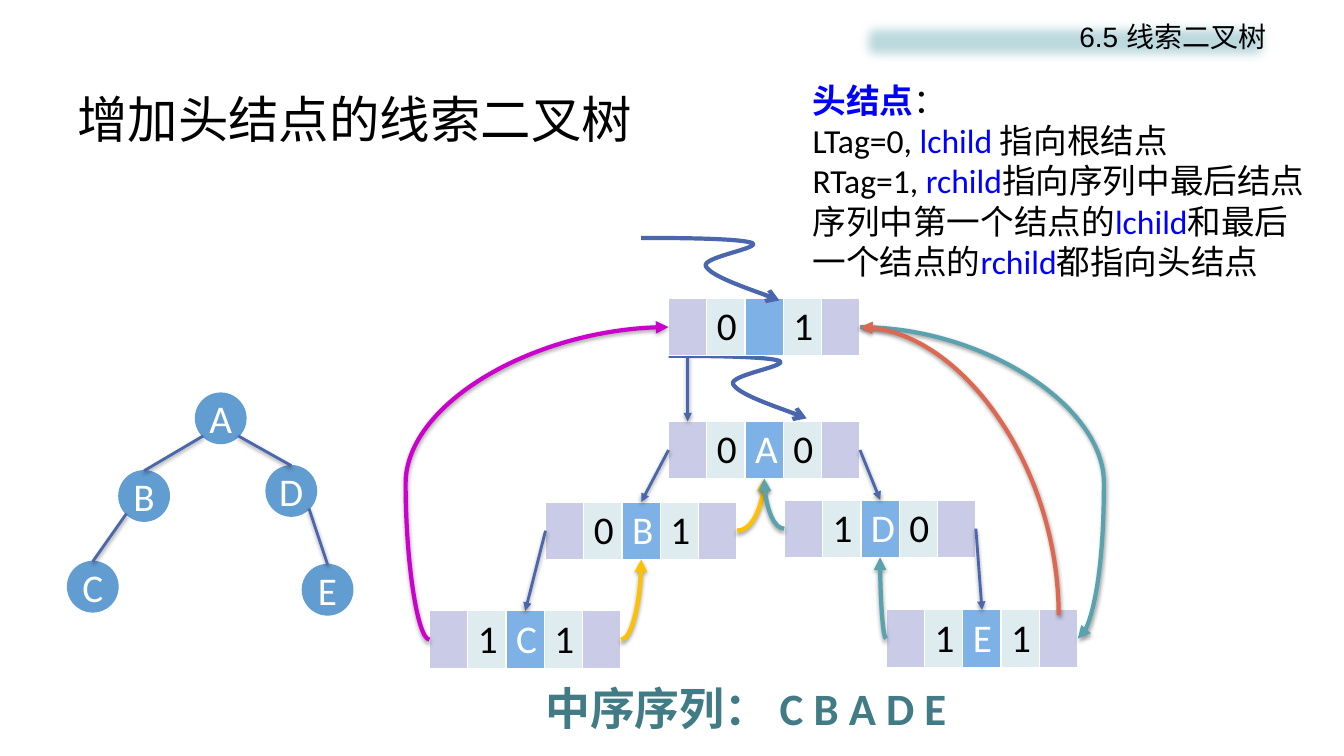
from collections import namedtuple
from dataclasses import dataclass
from lxml.etree import SubElement
from pptx import Presentation
from pptx.dml.color import RGBColor
from pptx.enum.shapes import MSO_CONNECTOR as Link, MSO_SHAPE as Preset
from pptx.enum.text import MSO_ANCHOR as Anchor, PP_ALIGN as Align
from pptx.oxml.ns import qn
from pptx.util import Inches, Pt

WIDTH, HEIGHT = Inches(13.33), Inches(7.5)
RECORD_WIDTH, RECORD_HEIGHT = 14.25, 7.6
NODE_WIDTH, NODE_HEIGHT = 3.75, 6.67
SQUIGGLE = [(3.75, 0), (7.43, 0.13), (8.25, 0.67), (9, 1.33), (4.5, 2.53),
            (4.8, 3.73), (5.18, 5.07), (9.38, 7.6), (10.28, 8.27)]


@dataclass(frozen=True)
class Theme:
    latin: str = "Calibri"
    header_font: str = "Arial"
    chinese: str = "Noto Sans CJK SC"
    black: str = "000000"
    white: str = "FFFFFF"
    keyword: str = "0000FF"
    caption: str = "417B85"
    header: str = "BDDADF"
    pointer: str = "C9CBE7"
    tag: str = "DEECEF"
    data: str = "7EB2E6"
    node: str = "629DD1"
    child: str = "4A66AC"
    successor: str = "FFC000"
    predecessor: str = "5AA2AE"
    first: str = "CC00CC"
    last: str = "DD6851"
    title_size: int = 36
    caption_size: int = 32
    node_size: int = 28
    note_size: int = 24
    header_size: int = 20


THEME = Theme()


class Record(namedtuple("Record", "x y values")):
    @property
    def left(self):
        return self.x, self.y + RECORD_HEIGHT / 2

    @property
    def right(self):
        return self.x + RECORD_WIDTH, self.y + RECORD_HEIGHT / 2

    @property
    def top(self):
        return self.x + RECORD_WIDTH / 2, self.y

    @property
    def bottom(self):
        return self.x + RECORD_WIDTH / 2, self.y + RECORD_HEIGHT


def place(x, y):
    return int(WIDTH * x / 100), int(HEIGHT * y / 100)


def color(value):
    return RGBColor.from_string(value)


def style(span, size, fill, font=THEME.latin, bold=False):
    span.font.size, span.font.bold, span.font.name = Pt(size), bold, font
    span.font.color.rgb = color(fill)
    SubElement(span.font._element, qn("a:ea"), typeface=THEME.chinese)


def write(frame, text, size, fill, align=Align.LEFT, **options):
    frame.text = text
    para = frame.paragraphs[0]
    para.alignment = align
    style(para.runs[0], size, fill, **options)


def add_box(page, x, y, width, height):
    box = page.shapes.add_textbox(*place(x, y), *place(width, height))
    box.text_frame.word_wrap = True
    return box.text_frame


def add_note(page, lines):
    frame = add_box(page, 59.72, 9.87, 39, 28.27)
    for index, line in enumerate(lines):
        para = frame.add_paragraph() if index else frame.paragraphs[0]
        for text, fill in line:
            span = para.add_run()
            span.text = text
            style(span, THEME.note_size, fill, bold=text == "头结点")


def add_header(page, text):
    box = page.shapes.add_shape(Preset.RECTANGLE, *place(63.47, 1.87), *place(31.5, 7.2))
    box.fill.solid()
    box.fill.fore_color.rgb = color(THEME.header)
    box.line.fill.background()
    effects = SubElement(box._element.spPr, qn("a:effectLst"))
    SubElement(effects, qn("a:softEdge"), rad=str(Pt(9)))
    box.text_frame.vertical_anchor = Anchor.TOP
    write(box.text_frame, text, THEME.header_size, THEME.black, Align.RIGHT,
          font=THEME.header_font)


def border(cell):
    for index, side in enumerate(("a:lnL", "a:lnR", "a:lnT", "a:lnB")):
        properties = cell._tc.get_or_add_tcPr()
        line = SubElement(properties, qn(side), w=str(Pt(1)))
        SubElement(SubElement(line, qn("a:solidFill")), qn("a:srgbClr"), val=THEME.white)
        properties.insert(index, line)


def add_record(page, record):
    fills = (THEME.pointer, THEME.tag, THEME.data, THEME.tag, THEME.pointer)
    table = page.shapes.add_table(1, len(fills), *place(record.x, record.y),
                                  *place(RECORD_WIDTH, RECORD_HEIGHT)).table
    table.first_row = table.horz_banding = False
    for cell, fill, value in zip(table.iter_cells(), fills, ("", *record.values, "")):
        cell.fill.solid()
        cell.fill.fore_color.rgb = color(fill)
        cell.vertical_anchor = Anchor.MIDDLE
        border(cell)
        if value:
            ink = THEME.white if fill == THEME.data else THEME.black
            write(cell.text_frame, value, THEME.node_size, ink, Align.CENTER)


def add_link(page, start, end, fill=THEME.child, width=2, kind=Link.STRAIGHT, arrow="tailEnd"):
    link = page.shapes.add_connector(kind, *place(*start), *place(*end))
    link.line.color.rgb, link.line.width = color(fill), Pt(width)
    if arrow:
        SubElement(link.line._get_or_add_ln(), qn("a:" + arrow), type="triangle")
    effects = SubElement(link._element.spPr, qn("a:effectLst"))
    shadow = SubElement(effects, qn("a:outerShdw"), blurRad=str(Pt(3.1)), dist=str(Pt(1.6)),
                        dir="5400000", rotWithShape="0")
    ink = SubElement(shadow, qn("a:srgbClr"), val=THEME.black)
    SubElement(ink, qn("a:alpha"), val="38000")
    return link


def add_curve(page, start, end, fill, bend=None, arrow="tailEnd"):
    link = add_link(page, start, end, fill, 3, Link.CURVE, arrow)
    geometry = link._element.spPr.find(qn("a:prstGeom"))
    if bend is None:
        geometry.set("prst", "curvedConnector2")
    else:
        guides = geometry.find(qn("a:avLst"))
        SubElement(guides, qn("a:gd"), name="adj1", fmla=f"val {round(bend * 100000)}")


def add_squiggle(page, x, y):
    builder = page.shapes.build_freeform(*place(x, y))
    builder.add_line_segments([place(x + dx, y + dy) for dx, dy in SQUIGGLE], close=False)
    shape = builder.convert_to_shape()
    path = shape._element.spPr.find(".//" + qn("a:path"))
    segments = path.findall(qn("a:lnTo"))
    for index, segment in enumerate(segments):
        if index % 3 == 0:
            curve = SubElement(path, qn("a:cubicBezTo"))
        curve.append(segment[0])
        path.remove(segment)
    shape.fill.background()
    shape.shadow.inherit = False
    shape.line.color.rgb, shape.line.width = color(THEME.child), Pt(3)
    SubElement(shape.line._get_or_add_ln(), qn("a:tailEnd"), type="arrow")


def add_node(page, letter, x, y):
    node = page.shapes.add_shape(Preset.OVAL, *place(x, y), *place(NODE_WIDTH, NODE_HEIGHT))
    node.shadow.inherit = False
    node.fill.solid()
    node.fill.fore_color.rgb = node.line.color.rgb = color(THEME.node)
    node.line.width = Pt(1)
    node.text_frame.word_wrap = False
    node.text_frame.vertical_anchor = Anchor.MIDDLE
    write(node.text_frame, letter, THEME.node_size, THEME.white, Align.CENTER)
    return node


def add_tree(page):
    spots = {"A": (14.55, 52), "B": (8.85, 62.27), "C": (5.03, 74.27),
             "D": (19.8, 61.6), "E": (22.5, 74.67)}
    nodes = {letter: add_node(page, letter, *spot) for letter, spot in spots.items()}
    for parent, child, side in (("A", "B", -1), ("B", "C", -1), ("D", "E", 1), ("A", "D", 1)):
        x, y = spots[parent]
        start = x + NODE_WIDTH * (0.5 + side * 0.35), y + NODE_HEIGHT * 0.85
        link = add_link(page, start, spots[child], arrow=None)
        link.end_connect(nodes[child], 0)


def add_threads(page):
    head = Record(49.74, 39.47, ("0", "", "1"))
    a = Record(49.74, 55.73, ("0", "A", "0"))
    b = Record(40.59, 66.4, ("0", "B", "1"))
    c = Record(31.96, 80.8, ("1", "C", "1"))
    d = Record(58.36, 66.13, ("1", "D", "0"))
    e = Record(65.94, 80.67, ("1", "E", "1"))
    for record in (a, b, c, d, e):
        add_record(page, record)
    for start, end in ((a.left, b.top), (a.right, d.top), (b.left, c.top), (d.right, e.top)):
        add_link(page, start, end)
    add_squiggle(page, head.x, head.bottom[1])
    add_record(page, head)
    for start, end, fill in ((b.right, a.bottom, THEME.successor),
                             (c.right, b.bottom, THEME.successor),
                             (e.left, d.bottom, THEME.predecessor),
                             (d.left, a.bottom, THEME.predecessor)):
        add_curve(page, start, end, fill)
    pointer_x = head.x + RECORD_WIDTH / 10
    add_link(page, (pointer_x, head.bottom[1]), (pointer_x, a.y))
    add_squiggle(page, 47.71, 31.47)
    add_curve(page, head.right, e.right, THEME.predecessor, 1.12)
    add_curve(page, c.left, head.left, THEME.first, -0.1)
    add_curve(page, head.right, (e.x + RECORD_WIDTH * 0.9, e.y + 0.7), THEME.last, arrow="headEnd")


def main():
    deck = Presentation()
    deck.slide_width, deck.slide_height = WIDTH, HEIGHT
    page = deck.slides.add_slide(deck.slide_layouts[5])
    title = page.shapes.title
    (title.left, title.top), (title.width, title.height) = place(5, 10.67), place(90, 10)
    title.text_frame.vertical_anchor = Anchor.MIDDLE
    write(title.text_frame, "增加头结点的线索二叉树", THEME.title_size, THEME.black,
          font=THEME.chinese)
    add_header(page, "6.5 线索二叉树")
    write(add_box(page, 39.83, 89.33, 34.58, 8.53), "中序序列： C B A D E",
          THEME.caption_size, THEME.caption, bold=True)
    add_tree(page)
    add_threads(page)
    black, blue = THEME.black, THEME.keyword
    add_note(page, [
        [("头结点", blue), ("：", black)],
        [("LTag=0, ", black), ("lchild ", blue), ("指向根结点", black)],
        [("RTag=1, ", black), ("rchild", blue), ("指向序列中最后结点", black)],
        [("序列中第一个结点的", black), ("lchild", blue), ("和最后一个结点的", black),
         ("rchild", blue), ("都指向头结点", black)]])
    deck.save("out.pptx")


if __name__ == "__main__":
    main()
